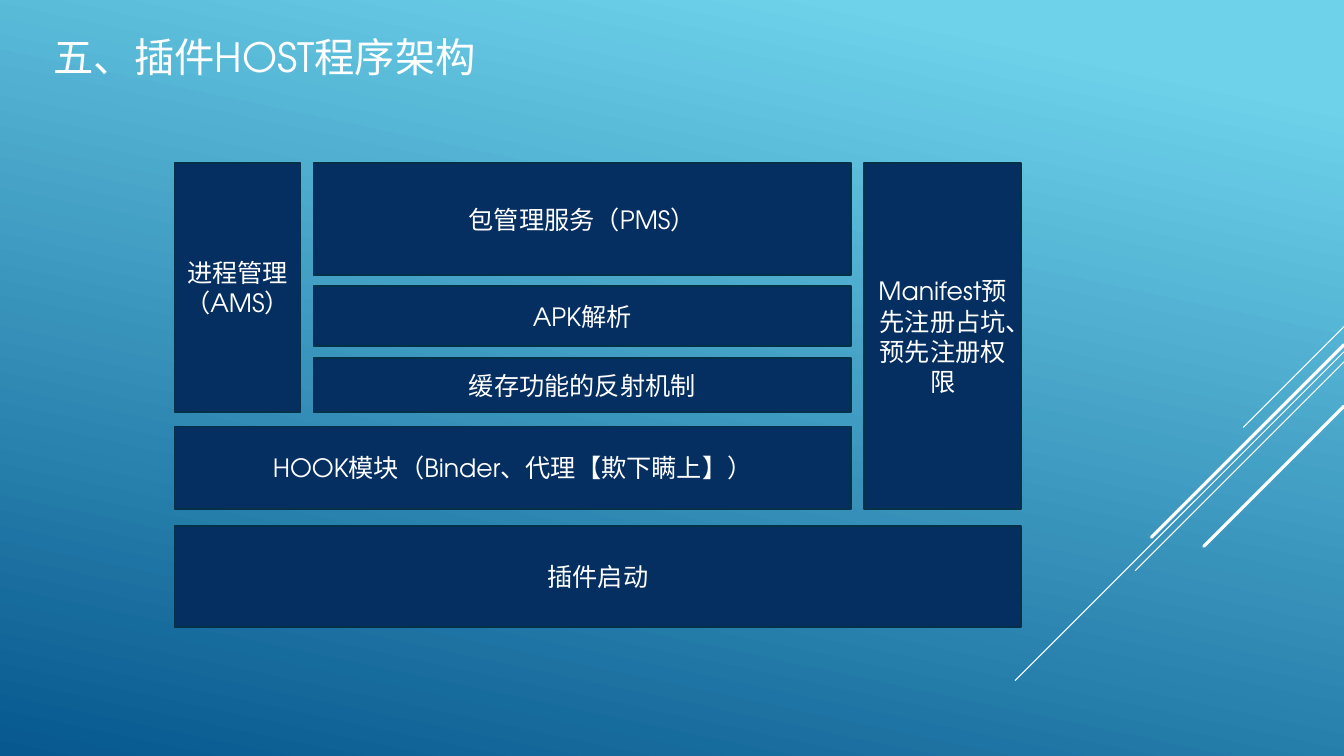
from dataclasses import dataclass

from pptx import Presentation
from pptx.dml.color import RGBColor
from pptx.enum.shapes import MSO_CONNECTOR, MSO_SHAPE
from pptx.enum.text import MSO_ANCHOR, MSO_AUTO_SIZE, PP_ALIGN
from pptx.oxml.ns import qn
from pptx.util import Inches, Pt


@dataclass(frozen=True)
class Theme:
    font: str = "TeX Gyre Adventor"
    title_size: float = 28.8
    body_size: float = 18
    text: str = "FFFFFF"
    box: str = "052F61"
    border: str = "043148"
    border_width: float = 1.25
    sky: str = "6ED2EB"
    sea: str = "06588E"
    sky_stop: float = 0.1
    gradient_angle: float = 258


WIDTH, HEIGHT = 13.33, 7.5
COLUMNS = [(1.73, 2.98), (3.11, 8.44), (8.57, 10.13)]
ROWS = [(1.62, 2.73), (2.84, 3.43), (3.55, 4.09), (4.23, 5.05), (5.22, 6.22)]

RAYS = [(3.24, 1, 0.75), (3.49, 3.26, 0.75), (3.59, 2.07, 0.75),
        (3.42, 1.91, 2.25), (4.03, 1.39, 2.25)]

MODULES = [
    ("插件启动", (0, 2), (4, 4)),
    ("进程管理（AMS）", (0, 0), (0, 2)),
    ("Manifest预先注册占坑、预先注册权限", (2, 2), (0, 3)),
    ("缓存功能的反射机制", (1, 1), (2, 2)),
    ("APK解析", (1, 1), (1, 1)),
    ("包管理服务（PMS）", (1, 1), (0, 0)),
    ("HOOK模块（Binder、代理【欺下瞒上】）", (0, 1), (3, 3)),
]


class SlideBuilder:
    def __init__(self, prs, theme):
        self.theme = theme
        self.s = prs.slides.add_slide(prs.slide_layouts[5])

    def background(self):
        fill = self.s.background.fill
        fill.gradient()
        fill.gradient_angle = self.theme.gradient_angle
        stops = [(self.theme.sky_stop, self.theme.sky), (1, self.theme.sea)]
        for stop, (position, color) in zip(fill.gradient_stops, stops):
            stop.position = position
            stop.color.rgb = RGBColor.from_string(color)

    def label(self, sp, text, size, align):
        tf = sp.text_frame
        tf.text = text
        tf.word_wrap = True
        tf.auto_size = MSO_AUTO_SIZE.NONE
        tf.vertical_anchor = MSO_ANCHOR.MIDDLE
        p = tf.paragraphs[0]
        p.alignment = align
        font = p.runs[0].font
        font.name = self.theme.font
        font.size = Pt(size)
        font.color.rgb = RGBColor.from_string(self.theme.text)

    def title(self, text, left, top, width, height):
        sp = self.s.shapes.title
        sp.left, sp.top = Inches(left), Inches(top)
        sp.width, sp.height = Inches(width), Inches(height)
        self.label(sp, text, self.theme.title_size, PP_ALIGN.LEFT)

    def ray(self, top, length, weight):
        sp = self.s.shapes.add_connector(
            MSO_CONNECTOR.STRAIGHT, Inches(WIDTH), Inches(top),
            Inches(WIDTH - length), Inches(top + length))
        sp.line.color.rgb = RGBColor.from_string(self.theme.text)
        sp.line.width = Pt(weight)
        spPr = sp._element.spPr
        spPr.find(qn("a:ln")).set("cap", "rnd")
        spPr.append(spPr.makeelement(qn("a:effectLst"), {}))

    def module(self, text, columns, rows):
        left, right = COLUMNS[columns[0]][0], COLUMNS[columns[1]][1]
        top, bottom = ROWS[rows[0]][0], ROWS[rows[1]][1]
        sp = self.s.shapes.add_shape(
            MSO_SHAPE.RECTANGLE, Inches(left), Inches(top),
            Inches(right - left), Inches(bottom - top))
        sp.shadow.inherit = False
        sp.fill.solid()
        sp.fill.fore_color.rgb = RGBColor.from_string(self.theme.box)
        sp.line.color.rgb = RGBColor.from_string(self.theme.border)
        sp.line.width = Pt(self.theme.border_width)
        self.label(sp, text, self.theme.body_size, PP_ALIGN.CENTER)


def main():
    prs = Presentation()
    prs.slide_width, prs.slide_height = Inches(WIDTH), Inches(HEIGHT)
    slide = SlideBuilder(prs, Theme())
    slide.background()
    for ray in RAYS:
        slide.ray(*ray)
    slide.title("五、插件HOST程序架构", 0.43, 0.25, 11, 0.61)
    for module in MODULES:
        slide.module(*module)
    prs.save("out.pptx")


if __name__ == "__main__":
    main()
